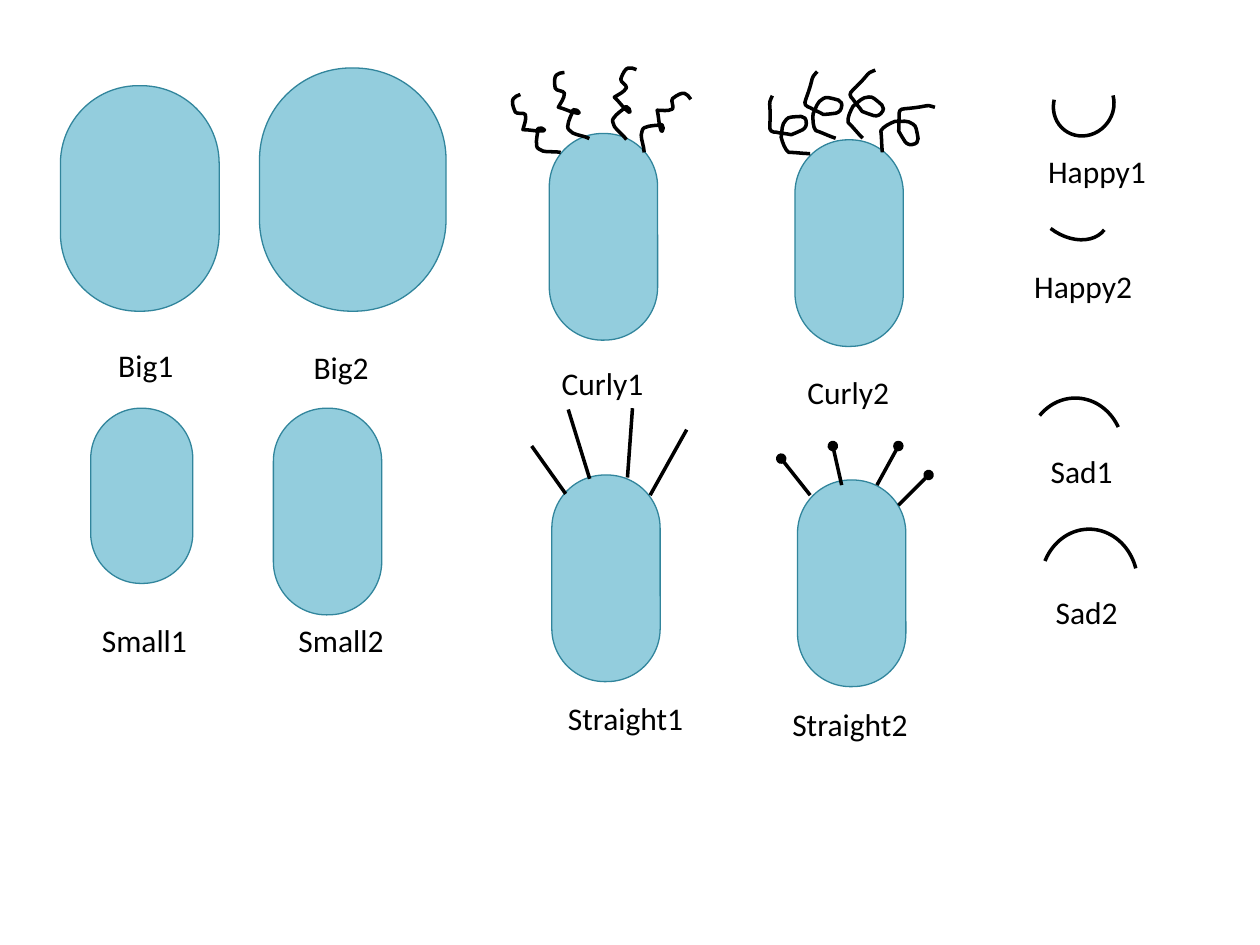
import pptx
import pptx.util
import pptx.dml.color
import pptx.enum.shapes
import pptx.enum.text
import pptx.oxml
import pptx.oxml.ns
import lxml.etree

Inches = pptx.util.Inches
Pt = pptx.util.Pt
qn = pptx.oxml.ns.qn
SHAPE = pptx.enum.shapes.MSO_SHAPE
BODY_FILL = pptx.dml.color.RGBColor(0x93, 0xCD, 0xDD)
BODY_EDGE = pptx.dml.color.RGBColor(0x31, 0x85, 0x9C)
INK = pptx.dml.color.RGBColor(0, 0, 0)

deck = pptx.Presentation()
deck.slide_width, deck.slide_height = Inches(10), Inches(7.5)
slide = deck.slides.add_slide(deck.slide_layouts[6])


def set_line(part, colour, width):
    part.line.color.rgb = colour
    part.line.width = Pt(width)


def draw_preset(kind, box, adjustments, rotation=0):
    part = slide.shapes.add_shape(kind, *map(Inches, box))
    part.shadow.inherit = False
    part.rotation = rotation
    for index, value in enumerate(adjustments):
        part.adjustments[index] = value
    return part


bodies = [
    (0.48, 0.68, 1.26, 1.79), (2.06, 0.54, 1.48, 1.93),
    (0.72, 3.24, 0.81, 1.39), (2.17, 3.24, 0.86, 1.64),
    (4.36, 1.06, 0.86, 1.64), (6.31, 1.11, 0.86, 1.64),
    (4.38, 3.77, 0.86, 1.64), (6.33, 3.81, 0.86, 1.64),
]
for box in bodies:
    body = draw_preset(SHAPE.ROUNDED_RECTANGLE, box, [0.49])
    body.fill.solid()
    body.fill.fore_color.rgb = BODY_FILL
    set_line(body, BODY_EDGE, 0.75)

tight_curl = [
    (38, 46), (33, 45), (28, 46), (24, 45), (22, 44), (19, 43), (19, 41),
    (18, 36), (20, 31), (20, 27), (22, 27), (24, 26), (25, 28),
    (26, 29), (23, 29), (21, 29), (17, 29), (13, 28), (8, 28),
    (9, 24), (11, 20), (10, 16), (9, 14), (3, 16), (2, 14),
    (-3, 3), (1, 2), (6, 0),
]
loose_curl = [
    (32, 46), (26, 46), (21, 45), (15, 45), (12, 43), (10, 37), (9, 33),
    (10, 27), (9, 23), (13, 19), (14, 18), (15, 17), (17, 17),
    (22, 17), (29, 14), (29, 22), (29, 25), (27, 27), (24, 28),
    (22, 29), (17, 31), (17, 31), (13, 30), (9, 30), (5, 29),
    (4, 29), (2, 29), (1, 28), (0, 27), (0, 26), (0, 24),
    (1, 1), (-2, 9), (2, 0),
]
curly_hair = [
    (tight_curl, [(4.07, 0.75, 0), (4.36, 0.6, 14.2),
                  (4.8, 0.58, 43), (5.1, 0.74, 76.1)]),
    (loose_curl, [(6.11, 0.76, 0), (6.73, 0.59, 43.6),
                  (6.39, 0.6, 17.7), (7.05, 0.79, 82.6)]),
]
for curve, placements in curly_hair:
    width, height = curve[0]
    tuft = slide.shapes.add_group_shape()
    for left, top, rotation in placements:
        builder = tuft.shapes.build_freeform(*curve[0], scale=Inches(0.01))
        builder.add_line_segments(curve[1:], close=False)
        curl = builder.convert_to_shape(Inches(left), Inches(top))
        outline = next(curl._element.iter(qn("a:path")))
        outline.set("w", str(width))
        outline.set("h", str(height))
        points = list(outline.iter(qn("a:pt")))
        for point, (x, y) in zip(points, curve):
            point.set("x", str(x))
            point.set("y", str(y))
        for segment in outline.findall(qn("a:lnTo")):
            outline.remove(segment)
        for start in range(1, len(points), 3):
            bend = lxml.etree.SubElement(outline, qn("a:cubicBezTo"))
            bend.extend(points[start:start + 3])
        placing = {"left": Inches(left), "top": Inches(top),
                   "width": Inches(width / 100), "height": Inches(height / 100),
                   "rotation": rotation}
        for name, value in placing.items():
            setattr(curl, name, value)
        curl.fill.background()
        curl.shadow.inherit = False
        set_line(curl, INK, 2)

straight_hair = [
    (False, [(4.22, 3.54, 4.49, 3.92), (4.51, 3.25, 4.68, 3.8),
             (5.02, 3.24, 4.98, 3.79), (5.45, 3.41, 5.16, 3.93)]),
    (True, [(6.43, 3.93, 6.2, 3.64), (6.68, 3.85, 6.61, 3.54),
            (6.96, 3.85, 7.13, 3.54), (7.13, 4.01, 7.37, 3.77)]),
]
for has_knob, strands in straight_hair:
    tuft = slide.shapes.add_group_shape()
    for ends in strands:
        strand = tuft.shapes.add_connector(
            pptx.enum.shapes.MSO_CONNECTOR.STRAIGHT, *map(Inches, ends))
        set_line(strand, INK, 2)
        if has_knob:
            edge = strand.line._get_or_add_ln()
            lxml.etree.SubElement(edge, qn("a:tailEnd"), type="oval")
        lxml.etree.SubElement(strand._element.spPr, qn("a:effectLst"))

mouths = [
    ((8.35, 0.6, 0.5, 0.47), [128.56, 37.85], 127.4),
    ((8.24, 1.27, 0.5, 0.69), [], 127.4),
    ((8.15, 3.16, 0.77, 0.86), [135.49, 197.78], 0),
    ((8.26, 4.2, 0.77, 0.86), [124.07, 205.3], 0),
]
for box, angles, rotation in mouths:
    mouth = draw_preset(SHAPE.ARC, box, angles, rotation)
    mouth.fill.background()
    set_line(mouth, INK, 2)

labels = [
    ("Big1", 0.84, 2.7, 0.64), ("Big2", 2.39, 2.71, 0.64),
    ("Small1", 0.71, 4.88, 0.88), ("Small2", 2.27, 4.88, 0.88),
    ("Curly1", 4.36, 2.84, 0.86), ("Curly2", 6.31, 2.91, 0.86),
    ("Straight1", 4.41, 5.5, 1.13), ("Straight2", 6.19, 5.55, 1.13),
    ("Happy1", 8.22, 1.16, 0.99), ("Happy2", 8.11, 2.07, 0.99),
    ("Sad1", 8.24, 3.54, 0.7), ("Sad2", 8.28, 4.66, 0.7),
]
label_font = {"name": "Calibri", "size": Pt(18)}
for wording, left, top, width in labels:
    label = slide.shapes.add_textbox(
        Inches(left), Inches(top), Inches(width), Inches(0.4)).text_frame
    label.word_wrap = False
    label.auto_size = pptx.enum.text.MSO_AUTO_SIZE.SHAPE_TO_FIT_TEXT
    run = label.paragraphs[0].add_run()
    run.text = wording
    for name, value in label_font.items():
        setattr(run.font, name, value)
    run.font.color.rgb = INK

deck.save("out.pptx")
